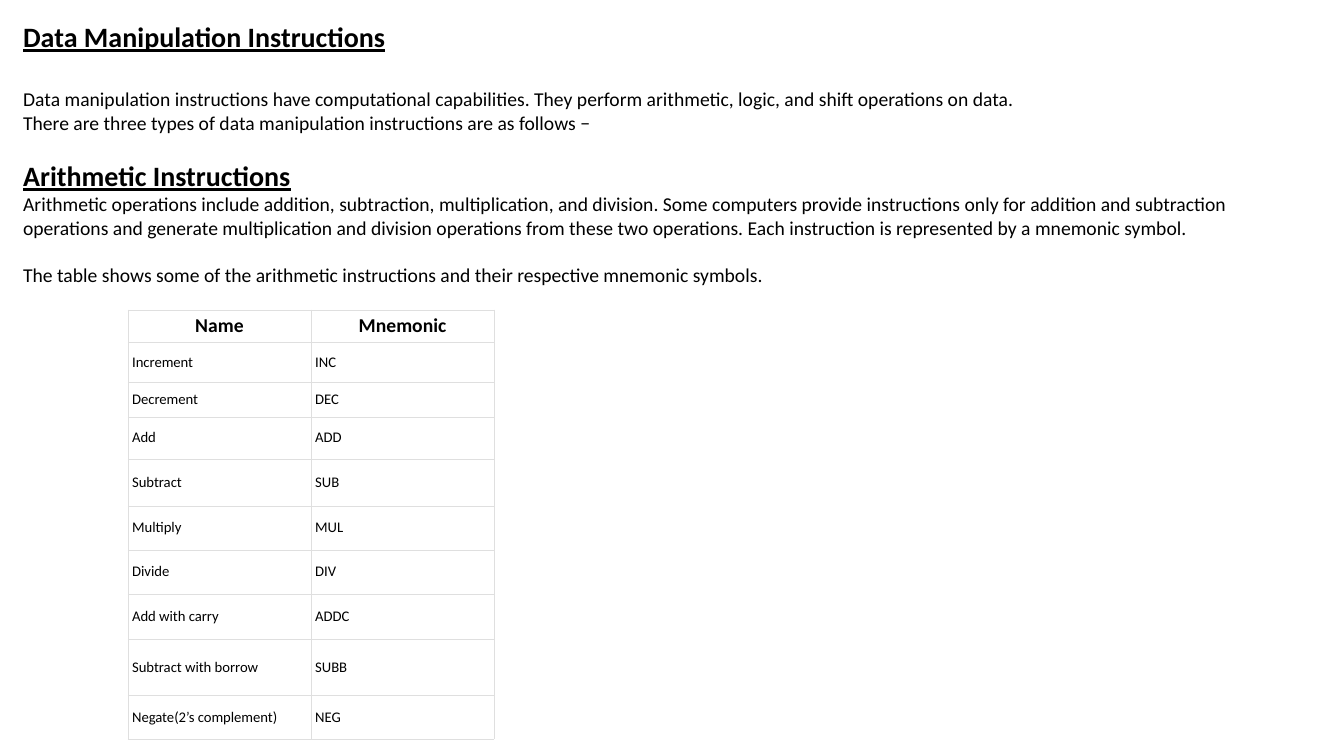
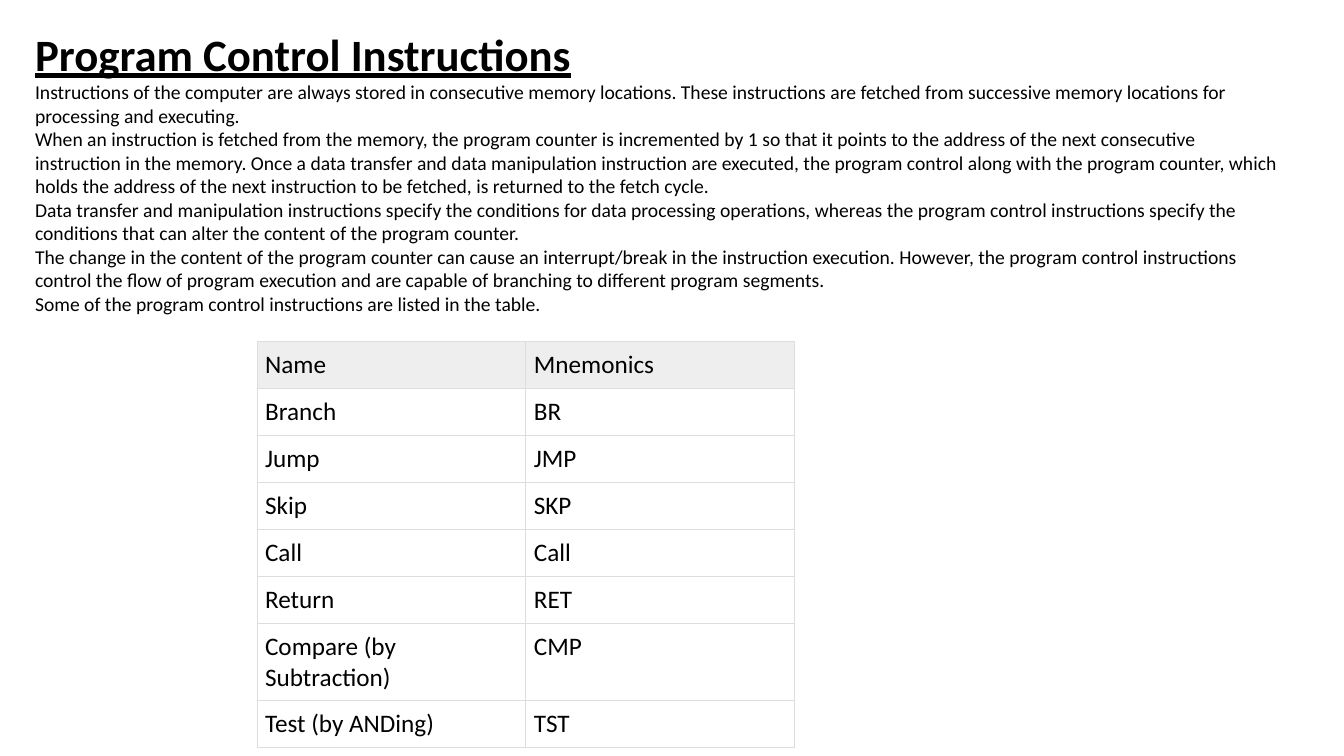
"""Build two slides on computer instructions, each with notes and a table."""
from dataclasses import dataclass

from lxml import etree
from pptx import Presentation
from pptx import util as u
from pptx.dml import color
from pptx.enum import text as t
from pptx.oxml import ns

Pt = u.Pt


@dataclass(frozen=True)
class Theme:
    font: str = "Calibri"
    ink: str = "000000"
    paper: str = "FFFFFF"
    head: float = 20
    title: float = 32
    body: float = 14
    small: float = 10.5
    large: float = 18


@dataclass(frozen=True)
class Para:
    text: str
    size: float
    head: bool = False
    gap: float = 0


@dataclass(frozen=True)
class Block:
    left: float
    top: float
    width: float
    height: float
    paras: tuple[Para, ...]


@dataclass(frozen=True)
class Grid:
    left: float
    top: float
    col: float
    rows: tuple[tuple[str, str, float], ...]
    size: float
    pad: tuple[float, float]
    line: str
    weight: float
    fill: str
    head: float
    bold: bool
    align: t.PP_ALIGN
    anchor: t.MSO_ANCHOR


T = Theme()


def write(para, text: str, *, size: float, bold: bool = False, under: bool = False,
          align: t.PP_ALIGN = t.PP_ALIGN.LEFT, gap: float = 0) -> None:
    para.alignment = align
    para.space_before = Pt(gap)
    run = para.add_run()
    run.text = text
    font = run.font
    font.name, font.size = T.font, Pt(size)
    font.bold, font.underline = bold, under
    font.color.rgb = color.RGBColor.from_string(T.ink)


def notes(slide, block: Block) -> None:
    box = slide.shapes.add_textbox(Pt(block.left), Pt(block.top), Pt(block.width), Pt(block.height))
    frame = box.text_frame
    frame.word_wrap = True
    frame.vertical_anchor = t.MSO_ANCHOR.TOP
    frame.margin_left = frame.margin_right = frame.margin_top = frame.margin_bottom = 0
    for i, item in enumerate(block.paras):
        para = frame.add_paragraph() if i else frame.paragraphs[0]
        write(para, item.text, size=item.size, bold=item.head, under=item.head, gap=item.gap)


def edge(cell, tint: str, weight: float) -> None:
    props = cell._tc.get_or_add_tcPr()
    for i, side in enumerate(("lnL", "lnR", "lnT", "lnB")):
        line = etree.Element(ns.qn(f"a:{side}"), w=str(Pt(weight)))
        fill = etree.SubElement(line, ns.qn("a:solidFill"))
        etree.SubElement(fill, ns.qn("a:srgbClr"), val=tint)
        props.insert(i, line)


def table(slide, grid: Grid) -> None:
    tall = sum(row[2] for row in grid.rows)
    body = slide.shapes.add_table(len(grid.rows), 2, Pt(grid.left), Pt(grid.top),
                                  Pt(2 * grid.col), Pt(tall)).table
    body.first_row = body.horz_banding = False
    for col in body.columns:
        col.width = Pt(grid.col)
    for r, (name, code, high) in enumerate(grid.rows):
        body.rows[r].height = Pt(high)
        top = r == 0
        for c, text in enumerate((name, code)):
            cell = body.cell(r, c)
            side, rise = (2, 2) if top and grid.bold else grid.pad
            cell.margin_left = cell.margin_right = Pt(side)
            cell.margin_top = cell.margin_bottom = Pt(rise)
            cell.vertical_anchor = grid.anchor
            cell.fill.solid()
            cell.fill.fore_color.rgb = color.RGBColor.from_string(grid.fill if top else T.paper)
            edge(cell, grid.line, grid.weight)
            write(cell.text_frame.paragraphs[0], text, size=grid.head if top else grid.size,
                  bold=top and grid.bold, align=grid.align if top else t.PP_ALIGN.LEFT)


DATA = Block(16.5, 14, 893.5, 207.5, (
    Para("Data Manipulation Instructions", T.head, True),
    Para("Data manipulation instructions have computational capabilities. They perform "
         "arithmetic, logic, and shift operations on data.", T.body, gap=24.4),
    Para("There are three types of data manipulation instructions are as follows −", T.body),
    Para("Arithmetic Instructions", T.head, True, 17.1),
    Para("Arithmetic operations include addition, subtraction, multiplication, and division. "
         "Some computers provide instructions only for addition and subtraction operations and "
         "generate multiplication and division operations from these two operations. Each "
         "instruction is represented by a mnemonic symbol.", T.body),
    Para("The table shows some of the arithmetic instructions and their respective mnemonic "
         "symbols.", T.body, gap=17.1),
))

MATH = Grid(91.4, 221.3, 130.8, (
    ("Name", "Mnemonic", 23),
    ("Increment", "INC", 29),
    ("Decrement", "DEC", 24.5),
    ("Add", "ADD", 30),
    ("Subtract", "SUB", 33.5),
    ("Multiply", "MUL", 31.5),
    ("Divide", "DIV", 31.5),
    ("Add with carry", "ADDC", 32),
    ("Subtract with borrow", "SUBB", 40.5),
    ("Negate(2’s complement)", "NEG", 31),
), T.small, (3, 4.3), "DFDFDF", 0.23, T.paper, T.body, True,
    t.PP_ALIGN.CENTER, t.MSO_ANCHOR.MIDDLE)

FLOW = Block(25, 18.8, 893.5, 224, (
    Para("Program Control Instructions", T.title, True),
    Para("Instructions of the computer are always stored in consecutive memory locations. These "
         "instructions are fetched from successive memory locations for processing and "
         "executing.", T.body),
    Para("When an instruction is fetched from the memory, the program counter is incremented by "
         "1 so that it points to the address of the next consecutive instruction in the memory. "
         "Once a data transfer and data manipulation instruction are executed, the program "
         "control along with the program counter, which holds the address of the next "
         "instruction to be fetched, is returned to the fetch cycle.", T.body),
    Para("Data transfer and manipulation instructions specify the conditions for data processing "
         "operations, whereas the program control instructions specify the conditions that can "
         "alter the content of the program counter.", T.body),
    Para("The change in the content of the program counter can cause an interrupt/break in the "
         "instruction execution. However, the program control instructions control the flow of "
         "program execution and are capable of branching to different program segments.", T.body),
    Para("Some of the program control instructions are listed in the table.", T.body),
))

STEP = 33.6
JUMPS = Grid(183.6, 243.8, 192, (
    ("Name", "Mnemonics", STEP),
    ("Branch", "BR", STEP),
    ("Jump", "JMP", STEP),
    ("Skip", "SKP", STEP),
    ("Call", "Call", STEP),
    ("Return", "RET", STEP),
    ("Compare (by Subtraction)", "CMP", 55),
    ("Test (by ANDing)", "TST", STEP),
), T.large, (5.76, 5.76), "DDDDDD", 0.75, "EEEEEE", T.large, False,
    t.PP_ALIGN.LEFT, t.MSO_ANCHOR.TOP)


def main() -> None:
    deck = Presentation()
    deck.slide_width, deck.slide_height = Pt(960), Pt(540)
    for block, grid in ((DATA, MATH), (FLOW, JUMPS)):
        slide = deck.slides.add_slide(deck.slide_layouts[6])
        notes(slide, block)
        table(slide, grid)
    deck.save("out.pptx")


if __name__ == "__main__":
    main()
